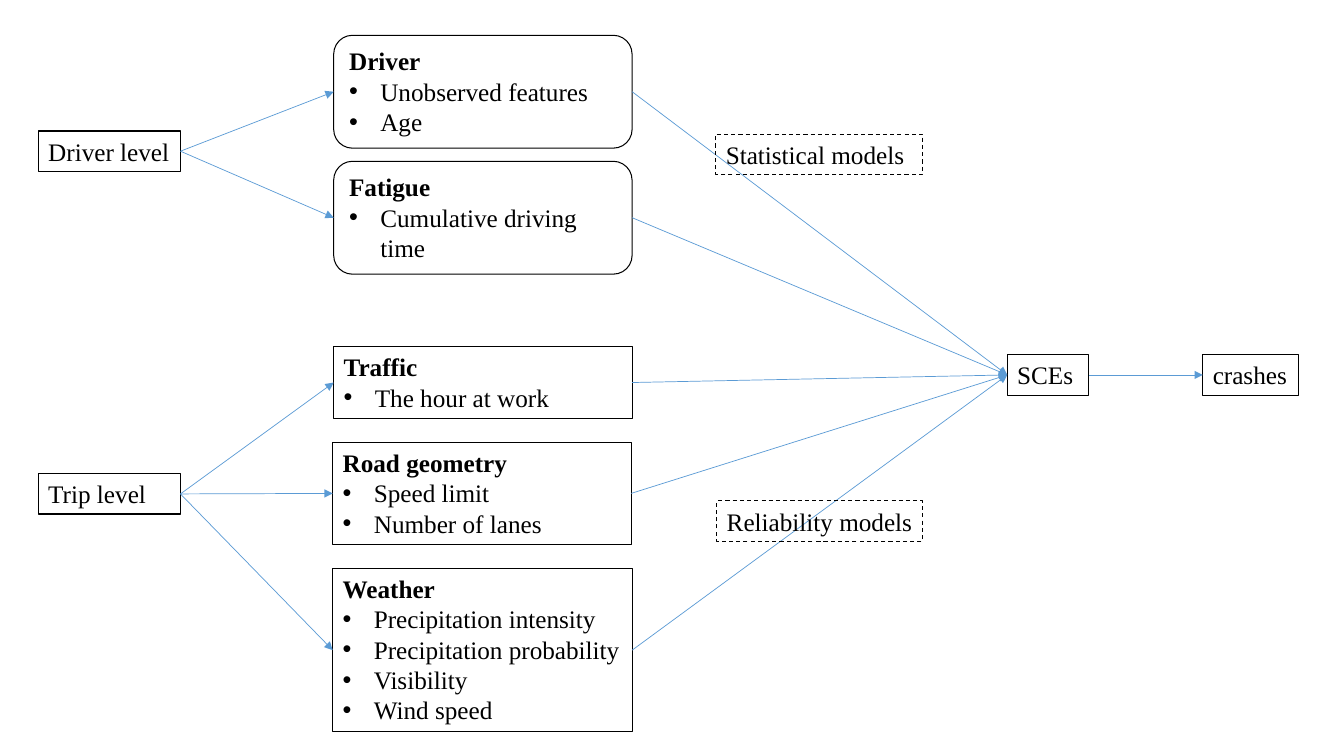
from lxml import etree
from pptx import Presentation
from pptx.dml.color import RGBColor
from pptx.enum.dml import MSO_LINE
from pptx.enum.shapes import MSO_CONNECTOR, MSO_SHAPE
from pptx.enum.text import MSO_ANCHOR, MSO_AUTO_SIZE, PP_ALIGN
from pptx.oxml.ns import qn
from pptx.util import Inches, Pt

RECT, ROUND = MSO_SHAPE.RECTANGLE, MSO_SHAPE.ROUNDED_RECTANGLE
STRAIGHT, DASH = MSO_CONNECTOR.STRAIGHT, MSO_LINE.DASH
LEFT_SITE, RIGHT_SITE = 1, 3
COLORS = {"ink": "000000", "arrow": "5B9BD5"}
FONT = {"name": "Times New Roman", "size": Pt(18)}
FRAME = {
    "word_wrap": True,
    "auto_size": MSO_AUTO_SIZE.SHAPE_TO_FIT_TEXT,
    "vertical_anchor": MSO_ANCHOR.TOP,
    "margin_right": Inches(0.05),
}
LABEL_HEIGHT = 0.4
BULLET_INDENT = Inches(0.31)

LABELS = [
    ("crashes", 11.93, 3.52, 0.95),
    ("SCEs", 9.99, 3.52, 0.81),
    ("Driver level", 0.38, 1.3, 1.41),
    ("Trip level", 0.38, 4.7, 1.41),
]
MODELS = [
    ("Statistical models", 7.1, 1.33, 2.05),
    ("Reliability models", 7.11, 4.97, 2.04),
]
FACTORS = [
    ("Driver", ["Unobserved features", "Age"], ROUND, (3.31, 0.35, 2.96, 1.12)),
    ("Fatigue", ["Cumulative driving time"], ROUND, (3.31, 1.6, 2.96, 1.12)),
    ("Traffic", ["The hour at work"], RECT, (3.31, 3.44, 2.96, 0.71)),
    ("Road geometry", ["Speed limit", "Number of lanes"], RECT, (3.3, 4.39, 2.96, 1.01)),
    ("Weather", ["Precipitation intensity", "Precipitation probability",
                 "Visibility", "Wind speed"], RECT, (3.3, 5.64, 2.97, 1.62)),
]
LEVELS = {
    "Driver level": ["Driver", "Fatigue"],
    "Trip level": ["Traffic", "Road geometry", "Weather"],
}


def color(name):
    return RGBColor.from_string(COLORS[name])


def add_box(kind, bounds, heading, bullets=(), dash=None):
    box = page.shapes.add_shape(kind, *(Inches(value) for value in bounds))
    box.shadow.inherit = False
    box.fill.background()
    box.line.color.rgb = color("ink")
    box.line.width = Pt(0.75)
    if dash:
        box.line.dash_style = dash
    frame = box.text_frame
    for key, value in FRAME.items():
        setattr(frame, key, value)
    for index, text in enumerate([heading, *bullets]):
        para = frame.add_paragraph() if index else frame.paragraphs[0]
        para.alignment = PP_ALIGN.LEFT
        span = para.add_run()
        span.text = text
        for key, value in FONT.items():
            setattr(span.font, key, value)
        span.font.bold = bool(bullets) and index == 0
        span.font.color.rgb = color("ink")
        if index:
            properties = para._p.get_or_add_pPr()
            properties.set("marL", str(BULLET_INDENT))
            properties.set("indent", str(-BULLET_INDENT))
            etree.SubElement(properties, qn("a:buFont"), typeface="Arial")
            etree.SubElement(properties, qn("a:buChar"), char="•")
    return box


def add_arrow(source, target):
    arrow = page.shapes.add_connector(STRAIGHT, 0, 0, 0, 0)
    arrow.begin_connect(boxes[source], RIGHT_SITE)
    arrow.end_connect(boxes[target], LEFT_SITE)
    arrow.line.color.rgb = color("arrow")
    arrow.line.width = Pt(0.5)
    etree.SubElement(arrow.line._get_or_add_ln(), qn("a:tailEnd"), type="triangle")
    etree.SubElement(arrow._element.spPr, qn("a:effectLst"))


deck = Presentation()
deck.slide_width, deck.slide_height = Inches(13.33), Inches(7.5)
page = deck.slides.add_slide(deck.slide_layouts[6])

boxes = {}
for text, left, top, width in LABELS:
    boxes[text] = add_box(RECT, (left, top, width, LABEL_HEIGHT), text)
for heading, bullets, kind, bounds in FACTORS:
    boxes[heading] = add_box(kind, bounds, heading, bullets)

for level, factors in LEVELS.items():
    for factor in factors:
        add_arrow(level, factor)
        add_arrow(factor, "SCEs")
add_arrow("SCEs", "crashes")

for text, left, top, width in MODELS:
    add_box(RECT, (left, top, width, LABEL_HEIGHT), text, dash=DASH)

deck.save("out.pptx")
